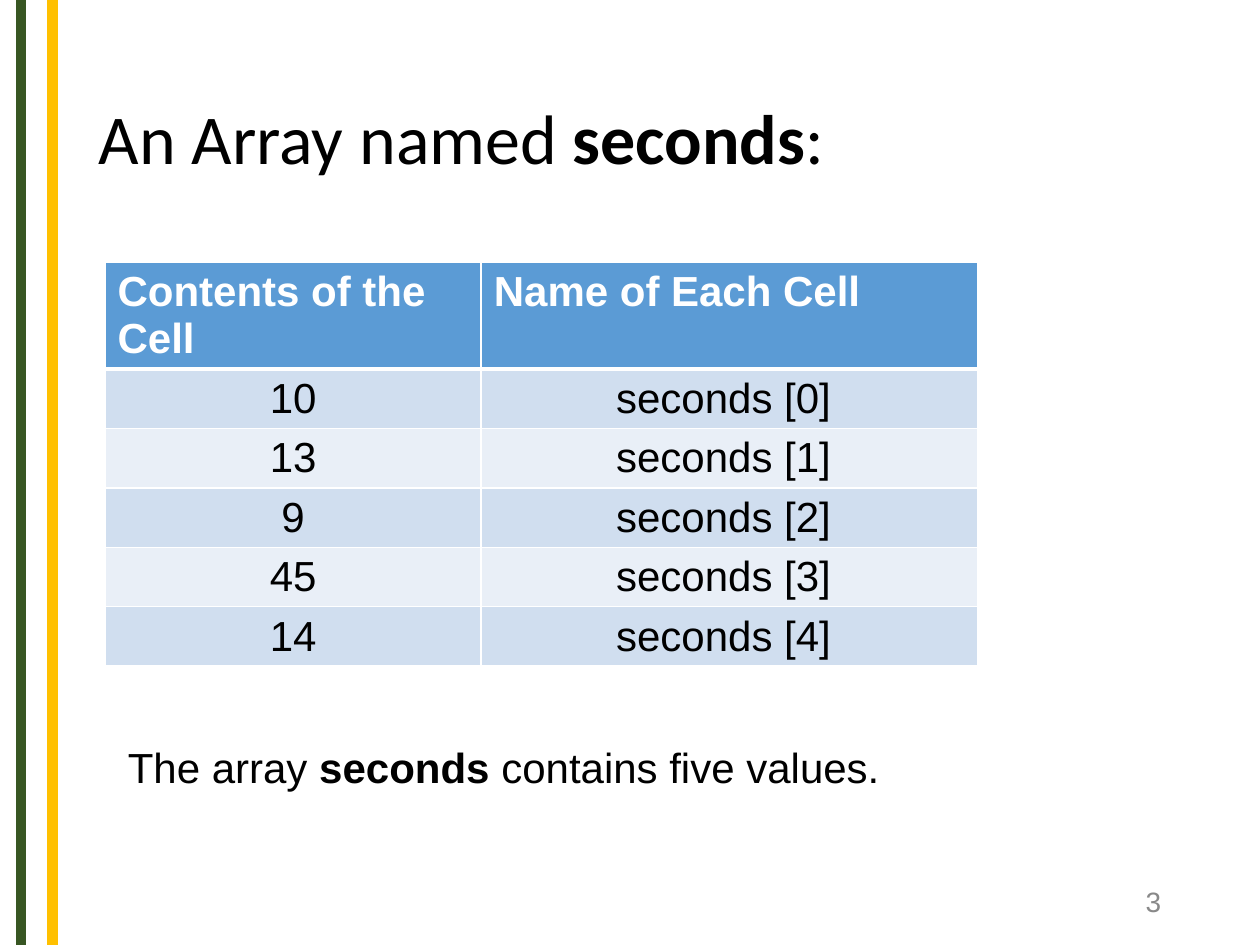
from typing import NamedTuple

from lxml import etree
from pptx import Presentation
from pptx.dml.color import RGBColor
from pptx.enum import shapes, text
from pptx.oxml import ns
from pptx.util import Pt

BLACK, WHITE, GREY = "000000", "FFFFFF", "898989"
HEADER_BLUE, BAND_DARK, BAND_LIGHT = "5B9BD5", "D0DEEF", "E9EFF7"
LEFT, CENTER, RIGHT = text.PP_ALIGN.LEFT, text.PP_ALIGN.CENTER, text.PP_ALIGN.RIGHT
TOP, MIDDLE = text.MSO_ANCHOR.TOP, text.MSO_ANCHOR.MIDDLE
SLIDE_W, SLIDE_H = 720, 540


class Stripe(NamedTuple):
    x: float
    color: str


class Run(NamedTuple):
    text: str
    bold: bool = False


class Label(NamedTuple):
    box: tuple[float, float, float, float]
    runs: list[Run]
    size: float
    font: str = "Arial"
    color: str = BLACK
    align: text.PP_ALIGN = LEFT
    anchor: text.MSO_ANCHOR = TOP
    spacing: float = 1.0


STRIPES = [Stripe(12, "385623"), Stripe(30, "FFC000")]
LABELS = [
    Label((49.5, 28.75, 621, 104.4),
          [Run("An Array named "), Run("seconds", True), Run(":")],
          40, font="Calibri", anchor=MIDDLE, spacing=0.9),
    Label((508.5, 500.5, 162, 28.75), [Run("3")], 16,
          color=GREY, align=RIGHT, anchor=MIDDLE),
    Label((66, 420, 493, 65.5),
          [Run("The array "), Run("seconds ", True), Run("contains five values.")], 24),
]
HEADINGS = ["Contents of the Cell", "Name of Each Cell"]
VALUES = [10, 13, 9, 45, 14]
COL_WIDTHS = [215, 283.5]
HEADER_H, ROW_H = 60.5, 33.9


def rgb(color: str) -> RGBColor:
    return RGBColor.from_string(color)


def add_run(p, run: Run, size: float, font: str, color: str) -> None:
    r = p.add_run()
    r.text = run.text
    r.font.name, r.font.size, r.font.bold = font, Pt(size), run.bold
    r.font.color.rgb = rgb(color)


def add_stripe(s, stripe: Stripe) -> None:
    line = s.shapes.add_connector(shapes.MSO_CONNECTOR.STRAIGHT,
                                  Pt(stripe.x), Pt(0), Pt(stripe.x), Pt(SLIDE_H))
    line.line.color.rgb = rgb(stripe.color)
    line.line.width = Pt(6)
    etree.SubElement(line.element.spPr, ns.qn("a:effectLst"))


def add_label(s, label: Label) -> None:
    tf = s.shapes.add_textbox(*map(Pt, label.box)).text_frame
    tf.word_wrap = True
    tf.vertical_anchor = label.anchor
    p = tf.paragraphs[0]
    p.alignment, p.line_spacing = label.align, label.spacing
    for run in label.runs:
        add_run(p, run, label.size, label.font, label.color)


def add_borders(cell, **widths: float) -> None:
    """Draw white cell borders; the keys are the sides L, R, T and B, in that order."""
    tc_pr = cell._tc.get_or_add_tcPr()
    for side, width in widths.items():
        ln = etree.SubElement(tc_pr, ns.qn(f"a:ln{side}"), w=str(Pt(width)))
        fill = etree.SubElement(ln, ns.qn("a:solidFill"))
        etree.SubElement(fill, ns.qn("a:srgbClr"), val=WHITE)


def add_array_table(s, left: float, top: float) -> None:
    rows = [HEADINGS] + [[str(v), f"seconds [{i}] "] for i, v in enumerate(VALUES)]
    heights = [HEADER_H] + [ROW_H] * len(VALUES)
    table = s.shapes.add_table(len(rows), len(COL_WIDTHS), Pt(left), Pt(top),
                               Pt(sum(COL_WIDTHS)), Pt(sum(heights))).table
    for column, width in zip(table.columns, COL_WIDTHS):
        column.width = Pt(width)
    for i, (row, height, words) in enumerate(zip(table.rows, heights, rows)):
        row.height = Pt(height)
        header = i == 0
        band = HEADER_BLUE if header else BAND_DARK if i % 2 else BAND_LIGHT
        for cell, word in zip(row.cells, words):
            add_borders(cell, L=1, R=1, T=3 if i == 1 else 1, B=3 if header else 1)
            cell.fill.solid()
            cell.fill.fore_color.rgb = rgb(band)
            p = cell.text_frame.paragraphs[0]
            p.alignment = LEFT if header else CENTER
            add_run(p, Run(word, header), 24, "Arial", WHITE if header else BLACK)


def main() -> None:
    prs = Presentation()
    prs.slide_width, prs.slide_height = Pt(SLIDE_W), Pt(SLIDE_H)
    s = prs.slides.add_slide(prs.slide_layouts[6])
    for stripe in STRIPES:
        add_stripe(s, stripe)
    add_array_table(s, 60, 150)
    for label in LABELS:
        add_label(s, label)
    prs.save("out.pptx")


if __name__ == "__main__":
    main()
